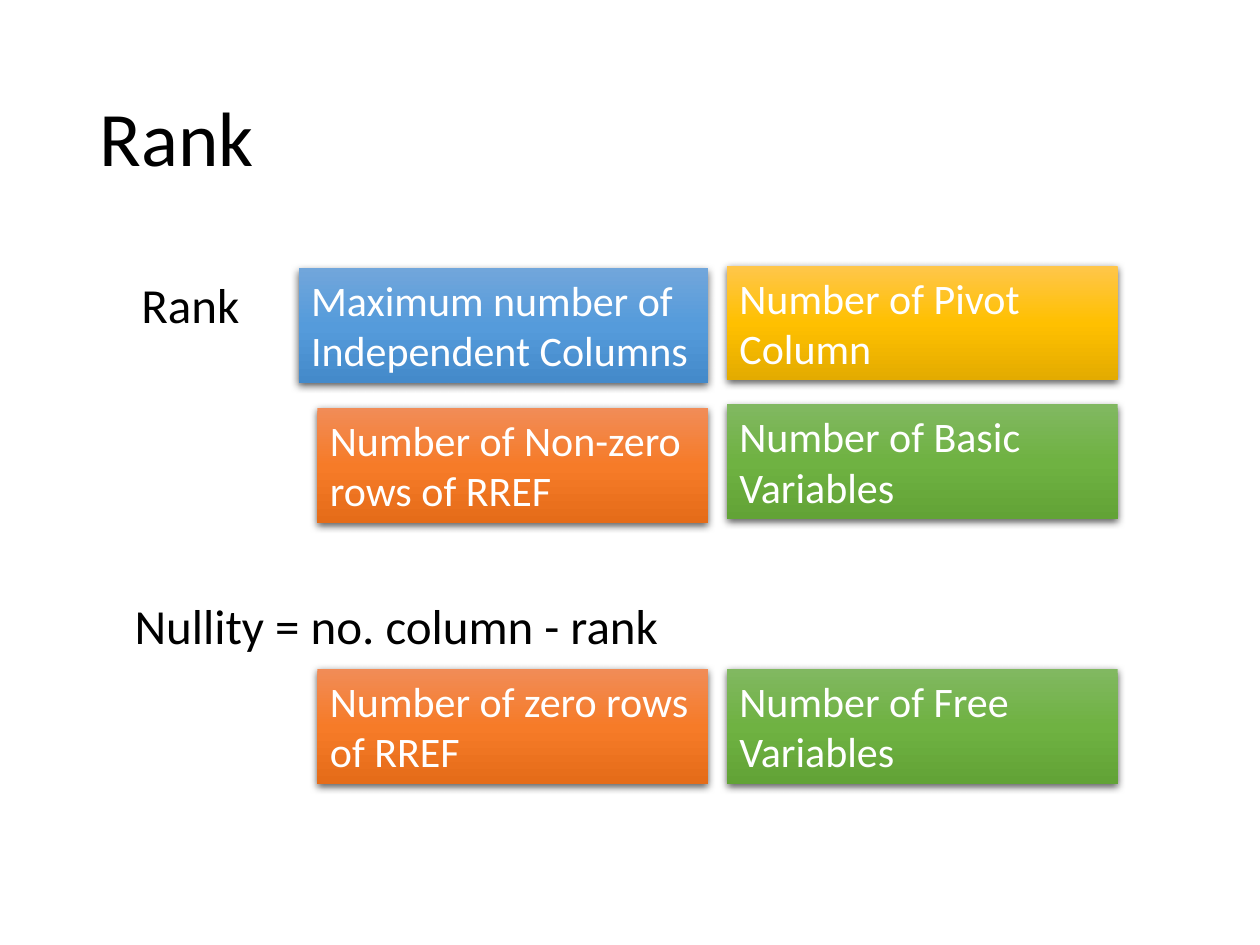
from copy import deepcopy
from dataclasses import dataclass

from lxml.etree import SubElement
from pptx import Presentation
from pptx.dml.color import RGBColor
from pptx.enum.shapes import MSO_SHAPE
from pptx.enum.text import MSO_ANCHOR, MSO_AUTO_SIZE as AUTO, PP_ALIGN as ALIGN
from pptx.oxml.ns import qn
from pptx.util import Inches, Pt

BLUE = ("71A6DB", "559BDB", "448ACA")
GOLD = ("FFC64B", "FFC000", "E3AB00")
ORANGE = ("F18C57", "F67B28", "E56C19")
GREEN = ("81B861", "6FB242", "62A336")

LEFT, RIGHT = 2.52, 5.77  # box columns
BOX_W, BOX_H = 3.1, 0.91


@dataclass
class Box:
    text: str
    left: float
    top: float
    colors: tuple[str, str, str]
    width: float = BOX_W


@dataclass
class Label:
    text: str
    left: float
    top: float
    width: float


BOXES = [
    Box("Maximum number of Independent Columns", 2.37, 2.13, BLUE, 3.25),
    Box("Number of Pivot Column", RIGHT, 2.11, GOLD),
    Box("Number of Non-zero rows of RREF", LEFT, 3.24, ORANGE),
    Box("Number of Basic Variables", RIGHT, 3.21, GREEN),
    Box("Number of zero rows\nof RREF", LEFT, 5.31, ORANGE),
    Box("Number of Free Variables", RIGHT, 5.31, GREEN),
]
LABELS = [
    Label("Rank", 0.72, 2.13, 1.58),
    Label("Nullity = no. column - rank", 0.52, 4.68, 5.25),
]


def rgb(value: str) -> RGBColor:
    return RGBColor.from_string(value)


def write(tf, text: str, *, size: float, color: str = "000000", align=ALIGN.LEFT,
          anchor=MSO_ANCHOR.TOP, auto=AUTO.SHAPE_TO_FIT_TEXT, spacing: float = 1.0) -> None:
    tf.text = text
    tf.word_wrap = True
    tf.auto_size = auto
    tf.vertical_anchor = anchor
    for p in tf.paragraphs:
        p.alignment = align
        p.line_spacing = spacing
        for r in p.runs:
            r.font.name = "Calibri"
            r.font.size = Pt(size)
            r.font.color.rgb = rgb(color)


def fill_gradient(sp, colors: tuple[str, str, str]) -> None:
    """Fill from top to bottom with three evenly spaced colours."""
    sp.fill.gradient()
    sp.fill.gradient_angle = 270
    stops = sp._element.spPr.find(qn("a:gradFill")).find(qn("a:gsLst"))
    stops.insert(1, deepcopy(stops[0]))
    for i, (stop, color) in enumerate(zip(sp.fill.gradient_stops, colors)):
        stop.position = i / 2
        stop.color.rgb = rgb(color)


def add_shadow(sp) -> None:
    sp.shadow.inherit = False
    effects = sp._element.spPr.find(qn("a:effectLst"))
    shadow = SubElement(effects, qn("a:outerShdw"), blurRad=str(Pt(4.5)),
                        dist=str(Pt(1.5)), dir="5400000", algn="ctr", rotWithShape="0")
    color = SubElement(shadow, qn("a:srgbClr"), val="000000")
    SubElement(color, qn("a:alpha"), val="63000")


def draw_box(slide, box: Box) -> None:
    sp = slide.shapes.add_shape(MSO_SHAPE.RECTANGLE, Inches(box.left), Inches(box.top),
                                Inches(box.width), Inches(BOX_H))
    fill_gradient(sp, box.colors)
    sp.line.fill.background()
    add_shadow(sp)
    write(sp.text_frame, box.text, size=24, color="FFFFFF")


def draw_label(slide, label: Label) -> None:
    sp = slide.shapes.add_textbox(Inches(label.left), Inches(label.top),
                                  Inches(label.width), Inches(0.57))
    write(sp.text_frame, label.text, size=28, align=ALIGN.CENTER)


def main() -> None:
    prs = Presentation()
    prs.slide_width, prs.slide_height = Inches(10), Inches(7.5)
    slide = prs.slides.add_slide(prs.slide_layouts[5])

    # Title
    title = slide.shapes.title
    title.left, title.top = Inches(0.69), Inches(0.4)
    title.width, title.height = Inches(8.62), Inches(1.45)
    write(title.text_frame, "Rank", size=44, anchor=MSO_ANCHOR.MIDDLE,
          auto=AUTO.NONE, spacing=0.9)

    # Equivalent definitions of rank and nullity
    for box in BOXES:
        draw_box(slide, box)
    for label in LABELS:
        draw_label(slide, label)

    prs.save("out.pptx")


if __name__ == "__main__":
    main()
